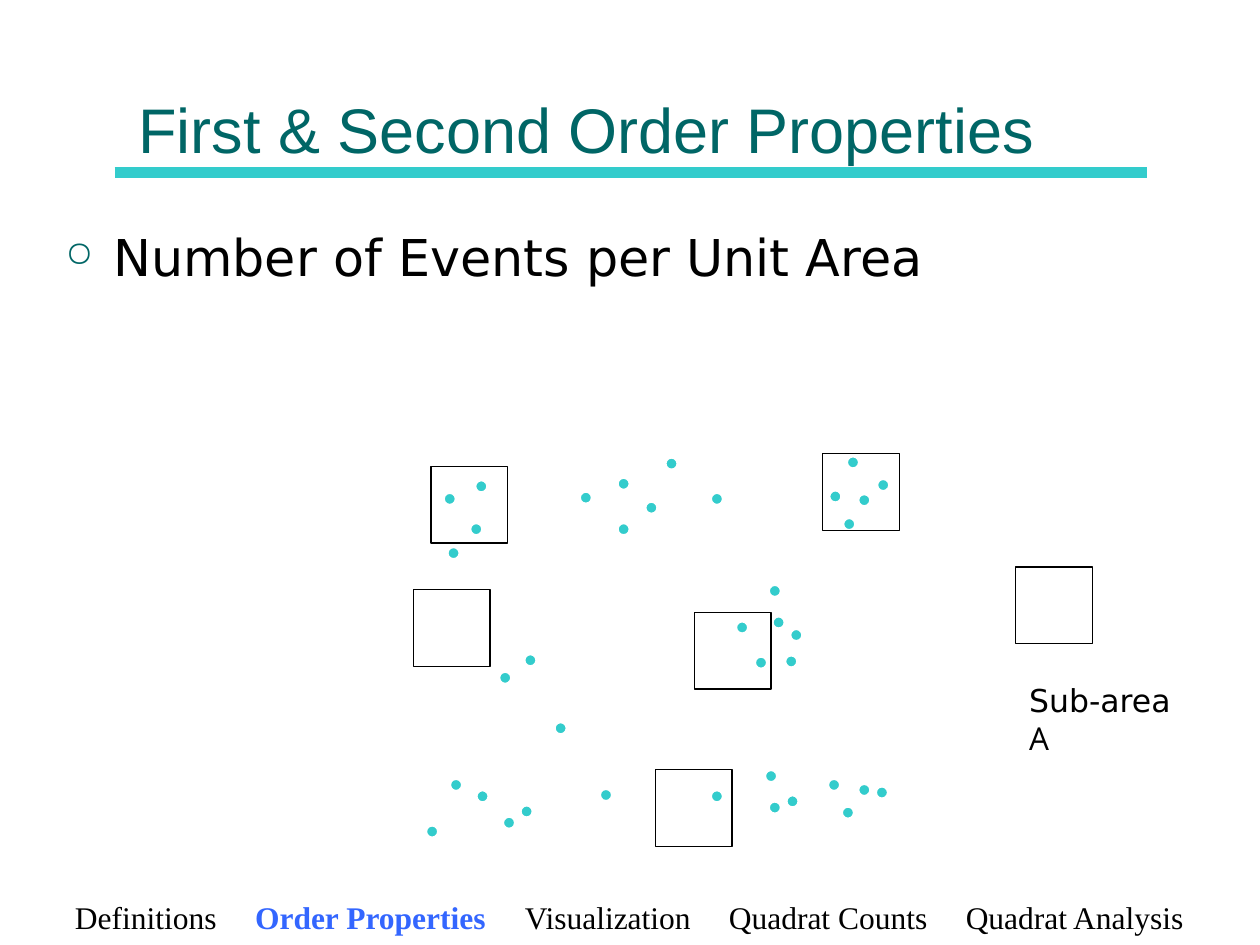
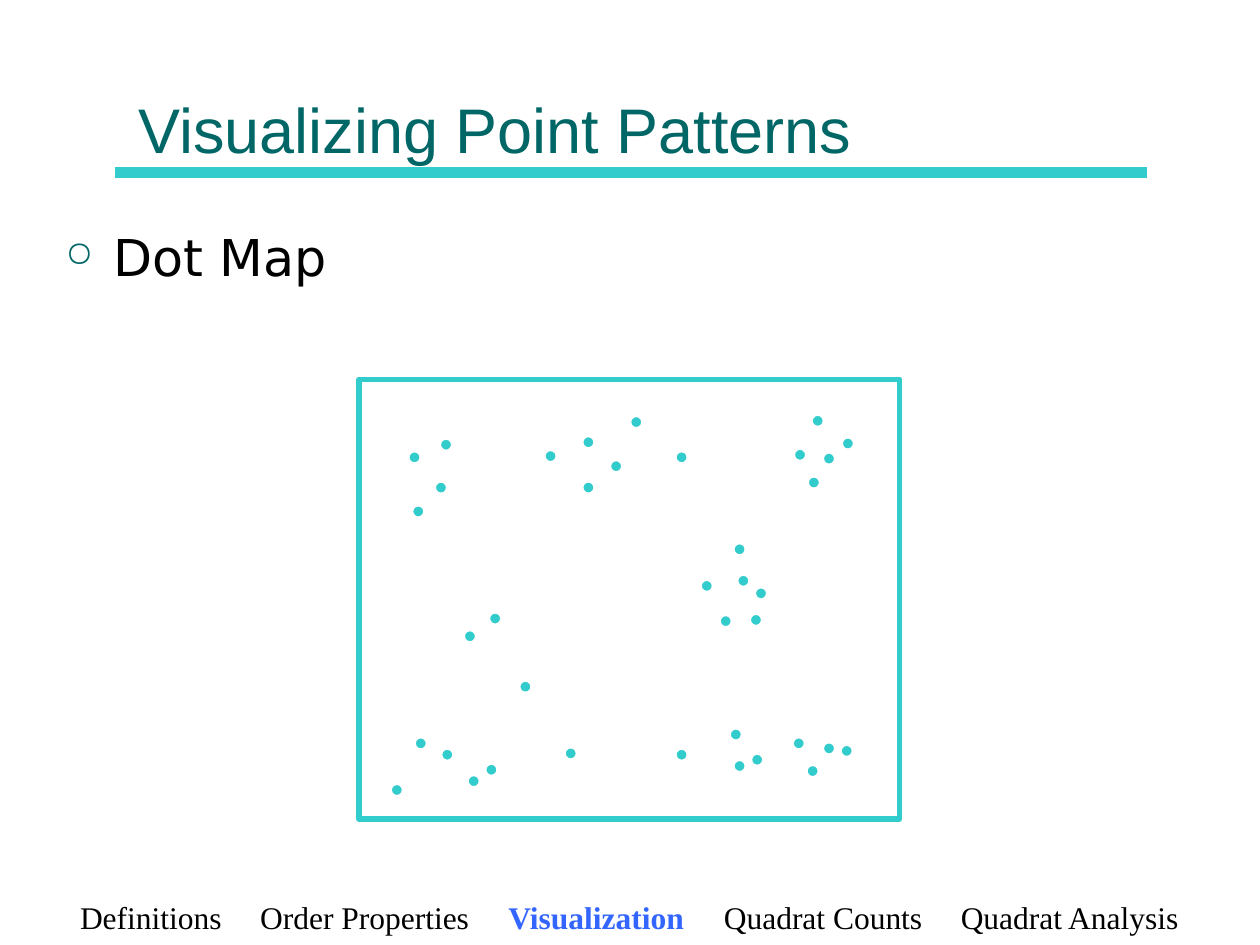
import pptx
import pptx.util
import pptx.dml.color
import pptx.enum.shapes
import pptx.enum.text
import pptx.oxml
import pptx.oxml.ns

Inches, Pt = pptx.util.Inches, pptx.util.Pt
SHAPES = pptx.enum.shapes.MSO_SHAPE
ANCHOR = pptx.enum.text.MSO_ANCHOR

COLORS = {"teal": "006666", "aqua": "33CCCC", "active": "3366FF", "black": "000000", "white": "FFFFFF"}
TITLE_FONT, BODY_FONT, LABEL_FONT, FOOTER_FONT = "Arial", "DejaVu Sans", "Open Sans", "Times New Roman"

# Footer sections: name, width in regular type, width in bold type
SECTIONS = [
    ("Definitions", 1.12, 1.2),
    ("Order Properties", 1.66, 1.83),
    ("Visualization", 1.31, 1.4),
    ("Quadrat Counts", 1.57, 1.7),
    ("Quadrat Analysis", 1.73, 1.85),
]
SECTION_GAP = 0.31
FOOTER_LEFT, FOOTER_WIDTH = 0.4, 9.19

# Events of the point pattern, measured from the map's top left corner
MAP_SIZE = (4.29, 3.49)
EVENT_SIZE = 0.1
EVENTS = [
    # upper left, upper middle, upper right
    (0.39, 0.57), (0.64, 0.47), (0.6, 0.81), (0.42, 1),
    (1.47, 0.56), (1.77, 0.45), (1.77, 0.81), (1.99, 0.64), (2.15, 0.29), (2.51, 0.57),
    (3.45, 0.55), (3.59, 0.28), (3.56, 0.77), (3.68, 0.58), (3.83, 0.46),
    # centre left, centre right
    (0.83, 1.99), (1.03, 1.85), (1.27, 2.39),
    (2.71, 1.59), (2.86, 1.87), (2.97, 1.3), (3, 1.55), (3.1, 1.86), (3.14, 1.65),
    # lower left, lower middle, lower right
    (0.25, 3.21), (0.44, 2.84), (0.65, 2.93), (0.86, 3.14), (1, 3.05),
    (1.63, 2.92), (2.51, 2.93),
    (2.94, 2.77), (2.97, 3.02), (3.11, 2.97),
    (3.44, 2.84), (3.55, 3.06), (3.68, 2.88), (3.82, 2.9),
]

# Sampling squares of slide 1; the last one stands outside as the key
SUB_AREA_SIZE = 0.61
SUB_AREAS = [(3.42, 3.7), (3.28, 4.68), (5.51, 4.86), (6.53, 3.6), (5.2, 6.11), (8.06, 4.5)]

# Title, bullet, active section, map corner
PAGES = [
    ("First & Second Order Properties", "Number of Events per Unit Area", "Order Properties", (3.13, 3.34)),
    ("Visualizing Point Patterns", "Dot Map", "Visualization", (2.85, 3.01)),
]


def add_text(slide, runs, at, size=18, font=BODY_FONT, color="black",
             anchor=ANCHOR.TOP, inset=0.1, bullet=False, tabs=()):
    """Add a one-paragraph text box; each run is its text and a dict of changes."""
    frame = slide.shapes.add_textbox(*map(Inches, at)).text_frame
    frame.word_wrap = True
    frame.vertical_anchor = anchor
    frame.margin_left = Inches(inset)
    paragraph = frame.paragraphs[0]
    properties = paragraph._p.get_or_add_pPr()
    marks = []
    if bullet:
        properties.set("marL", str(Inches(0.38)))
        properties.set("indent", str(Inches(-0.38)))
        marks += [f'<a:buClr {{ns}}><a:srgbClr val="{COLORS["teal"]}"/></a:buClr>',
                  '<a:buSzPct {ns} val="70000"/>', '<a:buChar {ns} char="○"/>']
    if tabs:
        stops = "".join(f'<a:tab pos="{Inches(stop)}" algn="l"/>' for stop in tabs)
        marks.append(f"<a:tabLst {{ns}}>{stops}</a:tabLst>")
    for mark in marks:
        properties.append(pptx.oxml.parse_xml(mark.format(ns=pptx.oxml.ns.nsdecls("a"))))
    for text, changes in runs:
        run = paragraph.add_run()
        run.text = text
        run.font.size = Pt(size)
        run.font.name = changes.get("font", font)
        run.font.bold = changes.get("bold", False)
        run.font.color.rgb = pptx.dml.color.RGBColor.from_string(COLORS[changes.get("color", color)])


def add_outline(slide, kind, at, line, weight, fill=None):
    """Add a plain shape with an outline and, if asked for, a fill."""
    shape = slide.shapes.add_shape(kind, *map(Inches, at))
    shape.shadow.inherit = False
    if fill:
        shape.fill.solid()
        shape.fill.fore_color.rgb = pptx.dml.color.RGBColor.from_string(COLORS[fill])
    else:
        shape.fill.background()
    shape.line.color.rgb = pptx.dml.color.RGBColor.from_string(COLORS[line])
    shape.line.width = Pt(weight)


deck = pptx.Presentation()
deck.slide_width, deck.slide_height = Inches(10), Inches(7.5)

for title, topic, active, (map_left, map_top) in PAGES:
    slide = deck.slides.add_slide(deck.slide_layouts[6])

    # Title rule
    rule = slide.shapes.add_connector(
        pptx.enum.shapes.MSO_CONNECTOR.STRAIGHT, Inches(0.91), Inches(1.37), Inches(9.1), Inches(1.37))
    rule.line.color.rgb = pptx.dml.color.RGBColor.from_string(COLORS["aqua"])
    rule.line.width = Pt(6)
    rule._element.spPr.append(pptx.oxml.parse_xml(f'<a:effectLst {pptx.oxml.ns.nsdecls("a")}/>'))

    # Title and bullet
    add_text(slide, [(title, {})], (1, 0.12, 8, 1.25), size=36, font=TITLE_FONT,
             color="teal", anchor=ANCHOR.BOTTOM)
    add_text(slide, [(topic, {})], (0.42, 1.74, 9.13, 0.6), size=29, bullet=True)

    # Point pattern
    for x, y in EVENTS:
        add_outline(slide, SHAPES.OVAL, (map_left + x, map_top + y, EVENT_SIZE, EVENT_SIZE),
                    "white", 1.5, fill="aqua")

    # Sampling squares with their key, or the frame of the dot map
    if active == "Order Properties":
        for left, top in SUB_AREAS:
            add_outline(slide, SHAPES.RECTANGLE, (left, top, SUB_AREA_SIZE, SUB_AREA_SIZE), "black", 0.75)
        add_text(slide, [("Sub-area ", {}), ("A", {"font": LABEL_FONT})], (8.07, 5.36, 1.47, 0.7))
    else:
        add_outline(slide, SHAPES.RECTANGLE, (map_left, map_top, *MAP_SIZE), "aqua", 3)

    # Footer: sections at equal gaps, centred as a row, the active one in bold
    stops, sections, row_width = [], [], 0
    for name, regular, bold in SECTIONS:
        if sections:
            row_width += SECTION_GAP
            stops.append(row_width)
            sections.append(("\t", {}))
        sections.append((name, {"bold": True, "color": "active"} if name == active else {}))
        row_width += bold if name == active else regular
    add_text(slide, sections, (FOOTER_LEFT, 7.08, FOOTER_WIDTH, 0.4), font=FOOTER_FONT,
             inset=(FOOTER_WIDTH - row_width) / 2, tabs=stops)

deck.save("out.pptx")
